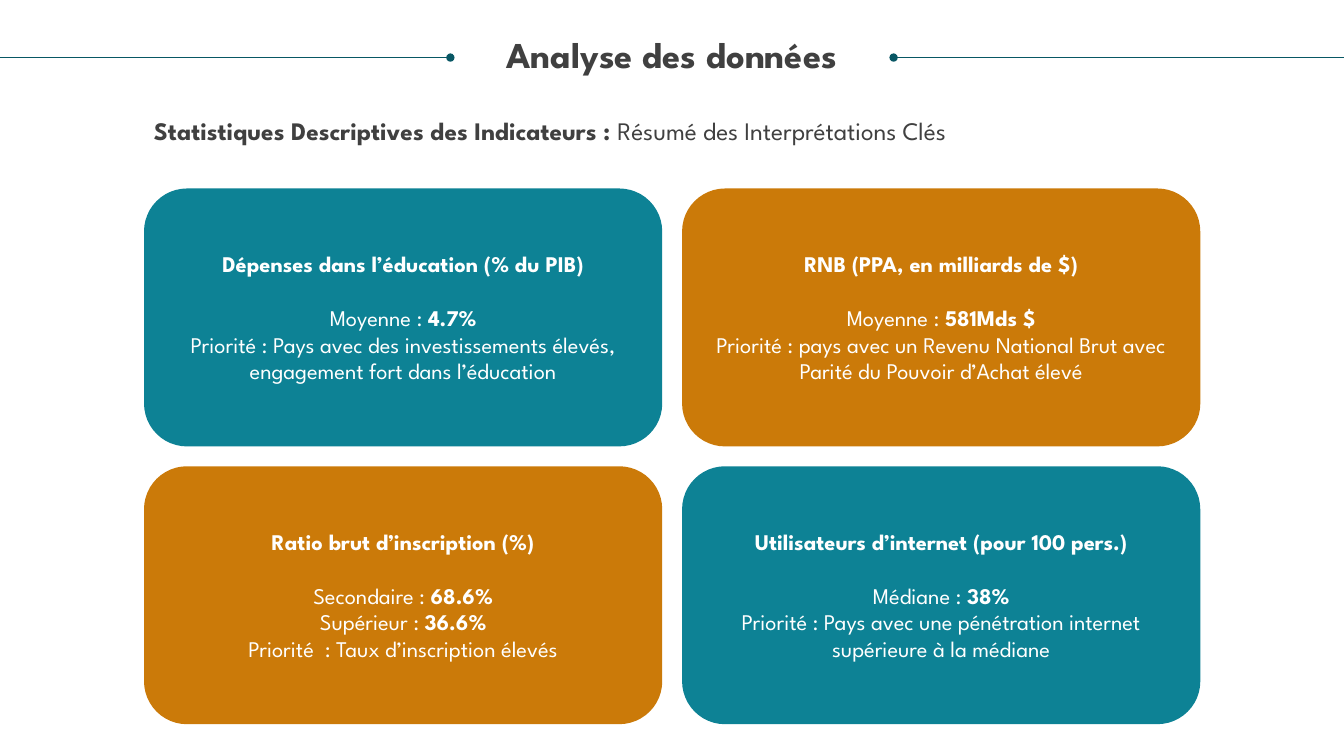
from pptx import Presentation
from pptx import util as u
from pptx.dml.color import RGBColor
from pptx.enum import shapes, text
from pptx.oxml.ns import qn
from lxml import etree

# Content: each line is a list of (text, bold) parts
TITLE = "Analyse des données"
SUBTITLE = [("Statistiques Descriptives des Indicateurs : ", True),
            ("Résumé des Interprétations Clés", False)]
CARDS = [
    [[("Dépenses dans l’éducation (% du PIB)", True)],
     [("Moyenne : ", False), ("4.7%", True)],
     [("Priorité : Pays avec des investissements élevés, "
       "engagement fort dans l’éducation", False)]],
    [[("RNB (PPA, en milliards de $)", True)],
     [("Moyenne : ", False), ("581Mds $", True)],
     [("Priorité : pays avec un Revenu National Brut avec "
       "Parité du Pouvoir d’Achat élevé", False)]],
    [[("Ratio brut d’inscription (%)", True)],
     [("Secondaire : ", False), ("68.6%", True)],
     [("Supérieur : ", False), ("36.6%", True)],
     [("Priorité  : Taux d’inscription élevés", False)]],
    [[("Utilisateurs d’internet (pour 100 pers.)", True)],
     [("Médiane : ", False), ("38%", True)],
     [("Priorité : Pays avec une pénétration internet "
       "supérieure à la médiane", False)]],
]


class Theme:
    font = "League Spartan"
    teal, orange = RGBColor(0x0D, 0x82, 0x95), RGBColor(0xCB, 0x7A, 0x09)
    rule, dark = RGBColor(0x08, 0x57, 0x64), RGBColor(0x40, 0x40, 0x40)
    white = RGBColor(0xFF, 0xFF, 0xFF)
    title, subtitle, body = u.Pt(26), u.Pt(18), u.Pt(16)


# Geometry in centimetres
SLIDE_W, SLIDE_H = 33.87, 19.05
LEFT, CARD_TOP, CARD_W, CARD_H, GAP = 3.63, 4.75, 13.06, 6.5, 0.5
RULE_Y, RULE_LENGTH = 1.45, 11.35


def box(*lengths):
    return [u.Cm(v) for v in lengths]


def style(r, size, color, bold):
    r.font.name, r.font.size, r.font.bold = Theme.font, size, bold
    r.font.color.rgb = color


def write(p, parts, size, color):
    for words, bold in parts:
        r = p.add_run()
        r.text = words
        style(r, size, color, bold)


def add_rule(s, edge, end):
    """Line running in from a slide edge to a round dot."""
    line = s.shapes.add_connector(shapes.MSO_CONNECTOR.STRAIGHT,
                                  *box(edge, RULE_Y, end, RULE_Y))
    line.line.color.rgb, line.line.width = Theme.rule, u.Pt(0.5)
    etree.SubElement(line.line._get_or_add_ln(), qn("a:tailEnd"), type="oval")
    etree.SubElement(line._element.spPr, qn("a:effectLst"))


def add_card(s, index, lines):
    row, col = divmod(index, 2)
    sp = s.shapes.add_shape(
        shapes.MSO_SHAPE.FLOWCHART_ALTERNATE_PROCESS,
        *box(LEFT + col * (CARD_W + GAP), CARD_TOP + row * (CARD_H + GAP),
             CARD_W, CARD_H))
    sp.shadow.inherit = False
    sp.fill.solid()
    sp.fill.fore_color.rgb = Theme.teal if row == col else Theme.orange
    sp.line.fill.background()
    tf = sp.text_frame
    tf.word_wrap, tf.vertical_anchor = True, text.MSO_ANCHOR.MIDDLE
    for i, parts in enumerate(lines):
        p = tf.add_paragraph() if i else tf.paragraphs[0]
        p.alignment = text.PP_ALIGN.CENTER
        if i == 1:
            p.space_before = u.Pt(19)
        write(p, parts, Theme.body, Theme.white)


def main():
    prs = Presentation()
    prs.slide_width, prs.slide_height = box(SLIDE_W, SLIDE_H)
    s = prs.slides.add_slide(prs.slide_layouts[5])

    # Title between two rules
    title = s.shapes.title
    title.left, title.top, title.width, title.height = box(0.64, 0.94, 32.59, 2.16)
    tf = title.text_frame
    tf.margin_left = tf.margin_right = tf.margin_top = tf.margin_bottom = 0
    tf.word_wrap, tf.vertical_anchor = True, text.MSO_ANCHOR.TOP
    tf.text = TITLE
    p = tf.paragraphs[0]
    p.alignment, p.line_spacing = text.PP_ALIGN.CENTER, 0.9
    style(p.runs[0], Theme.title, Theme.dark, True)
    add_rule(s, 0, RULE_LENGTH)
    add_rule(s, SLIDE_W, SLIDE_W - RULE_LENGTH)

    # Subtitle
    tf = s.shapes.add_textbox(*box(LEFT, 2.79, 2 * CARD_W + GAP, 1.02)).text_frame
    tf.word_wrap = True
    write(tf.paragraphs[0], SUBTITLE, Theme.subtitle, Theme.dark)

    # Indicator cards, two by two
    for index, lines in enumerate(CARDS):
        add_card(s, index, lines)

    prs.save("out.pptx")


if __name__ == "__main__":
    main()
